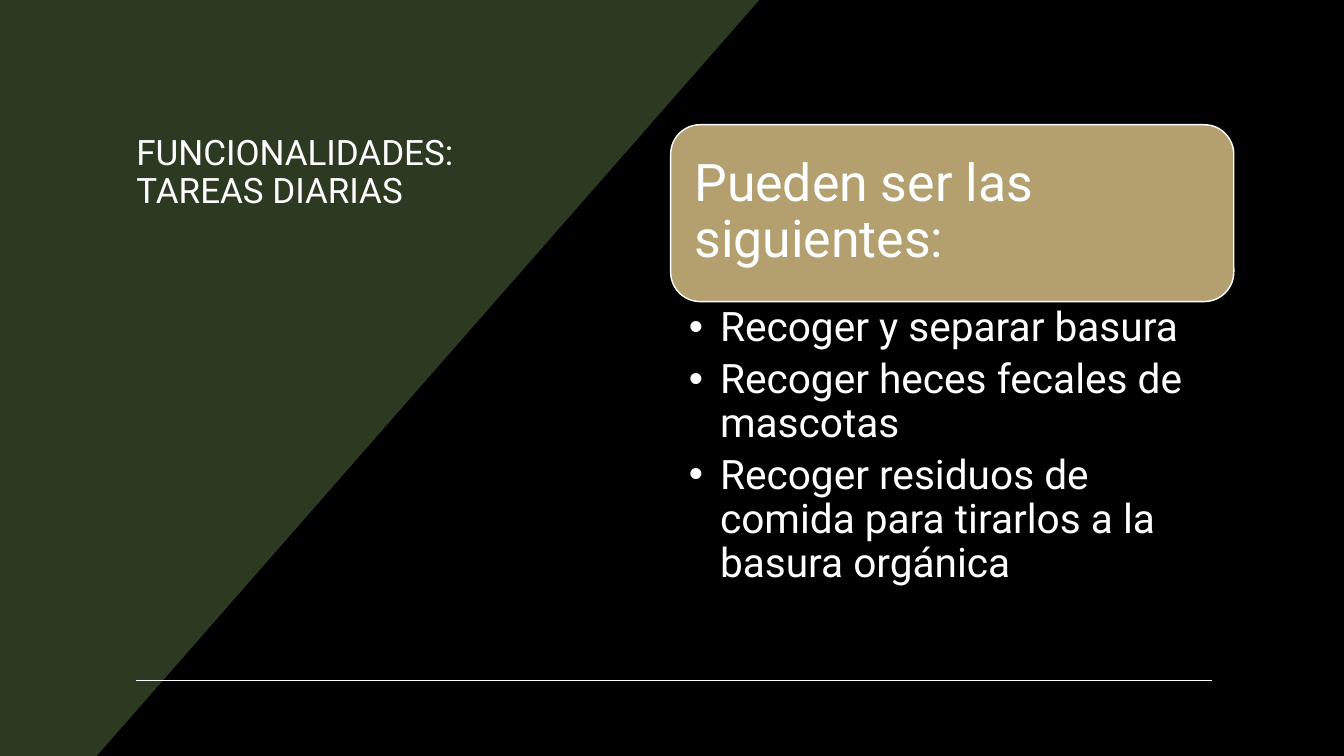
from lxml import etree
from pptx import Presentation
from pptx import util as u
from pptx.dml.color import RGBColor
from pptx.enum import shapes, text
from pptx.oxml.ns import qn

WIDTH, HEIGHT = u.Inches(13.33), u.Inches(7.5)
FONT = "Roboto"
COLORS = {"background": "000000", "panel": "2C3A21", "card": "B3A06E", "light": "FFFFFF"}
TASKS = [
    "Recoger y separar basura",
    "Recoger heces fecales de mascotas",
    "Recoger residuos de comida para tirarlos a la basura orgánica",
]

# Shares of the slide's width and height
TITLE = (0.094, 0.172, 0.29, 0.228)
CARD = (0.499, 0.165, 0.419, 0.234)
TASK_LIST = (0.499, 0.399, 0.419, 0.436)
PANEL = [(0, 0), (0.565, 0), (0.072, 1), (0, 1)]
RULE_LEFT, RULE_RIGHT, RULE_TOP = 0.101, 0.902, 0.9


def color(name):
    return RGBColor.from_string(COLORS[name])


def place(left, top, width=0, height=0):
    """Turn shares of the slide into lengths."""
    return (round(left * WIDTH), round(top * HEIGHT),
            round(width * WIDTH), round(height * HEIGHT))


def fill_frame(frame, paragraphs, size, insets, anchor, space_after=0, bullet_indent=None):
    """Write the paragraphs; insets are left, top, right, bottom in inches."""
    frame.word_wrap = True
    frame.auto_size = text.MSO_AUTO_SIZE.NONE
    frame.vertical_anchor = anchor
    (frame.margin_left, frame.margin_top,
     frame.margin_right, frame.margin_bottom) = map(u.Inches, insets)
    for index, wording in enumerate(paragraphs):
        paragraph = frame.add_paragraph() if index else frame.paragraphs[0]
        paragraph.alignment = text.PP_ALIGN.LEFT
        paragraph.line_spacing = 0.9
        paragraph.space_before = u.Pt(0)
        paragraph.space_after = u.Pt(space_after)
        if bullet_indent:
            add_bullet(paragraph, u.Inches(bullet_indent))
        run = paragraph.add_run()
        run.text = wording
        run.font.name = FONT
        run.font.size = u.Pt(size)
        run.font.color.rgb = color("light")


def add_bullet(paragraph, indent):
    properties = paragraph._p.get_or_add_pPr()
    properties.set("marL", str(indent))
    properties.set("indent", str(-indent))
    etree.SubElement(properties, qn("a:buFont")).set("typeface", "Arial")
    etree.SubElement(properties, qn("a:buChar")).set("char", "•")


def add_panel(slide):
    corners = [place(*point)[:2] for point in PANEL]
    builder = slide.shapes.build_freeform(*corners[0])
    builder.add_line_segments(corners[1:], close=True)
    shape = builder.convert_to_shape()
    shape.shadow.inherit = False
    shape.fill.solid()
    shape.fill.fore_color.rgb = color("panel")
    shape.line.fill.background()


def set_title(slide, wording):
    title = slide.shapes.title
    title.left, title.top, title.width, title.height = place(*TITLE)
    fill_frame(title.text_frame, [wording], 25, (0.1, 0.05, 0.1, 0.05), text.MSO_ANCHOR.TOP)


def add_rule(slide):
    start, end = place(RULE_LEFT, RULE_TOP)[:2], place(RULE_RIGHT, RULE_TOP)[:2]
    rule = slide.shapes.add_connector(shapes.MSO_CONNECTOR.STRAIGHT, *start, *end)
    rule.line.color.rgb = color("light")
    rule.line.width = u.Pt(1)
    etree.SubElement(rule._element.spPr, qn("a:effectLst"))


def add_card(slide, wording):
    card = slide.shapes.add_shape(shapes.MSO_SHAPE.ROUNDED_RECTANGLE, *place(*CARD))
    card.shadow.inherit = False
    card.fill.solid()
    card.fill.fore_color.rgb = color("card")
    card.line.color.rgb = color("light")
    card.line.width = u.Pt(1)
    # The preset's own text area already starts 0.09 inches inside the outline
    fill_frame(card.text_frame, [wording], 37, (0.15,) * 4, text.MSO_ANCHOR.MIDDLE)


def add_task_list(slide, tasks):
    box = slide.shapes.add_textbox(*place(*TASK_LIST))
    fill_frame(box.text_frame, tasks, 29, (0.18, 0.05, 0.29, 0.05), text.MSO_ANCHOR.TOP,
               space_after=5.8, bullet_indent=0.31)


def main():
    presentation = Presentation()
    presentation.slide_width, presentation.slide_height = WIDTH, HEIGHT
    slide = presentation.slides.add_slide(presentation.slide_layouts[5])
    slide.background.fill.solid()
    slide.background.fill.fore_color.rgb = color("background")
    add_panel(slide)
    set_title(slide, "FUNCIONALIDADES: TAREAS DIARIAS")
    add_rule(slide)
    add_card(slide, "Pueden ser las siguientes:")
    add_task_list(slide, TASKS)
    # Bring the title in front of the panel
    slide.shapes._spTree.append(slide.shapes.title._element)
    presentation.save("out.pptx")


if __name__ == "__main__":
    main()
